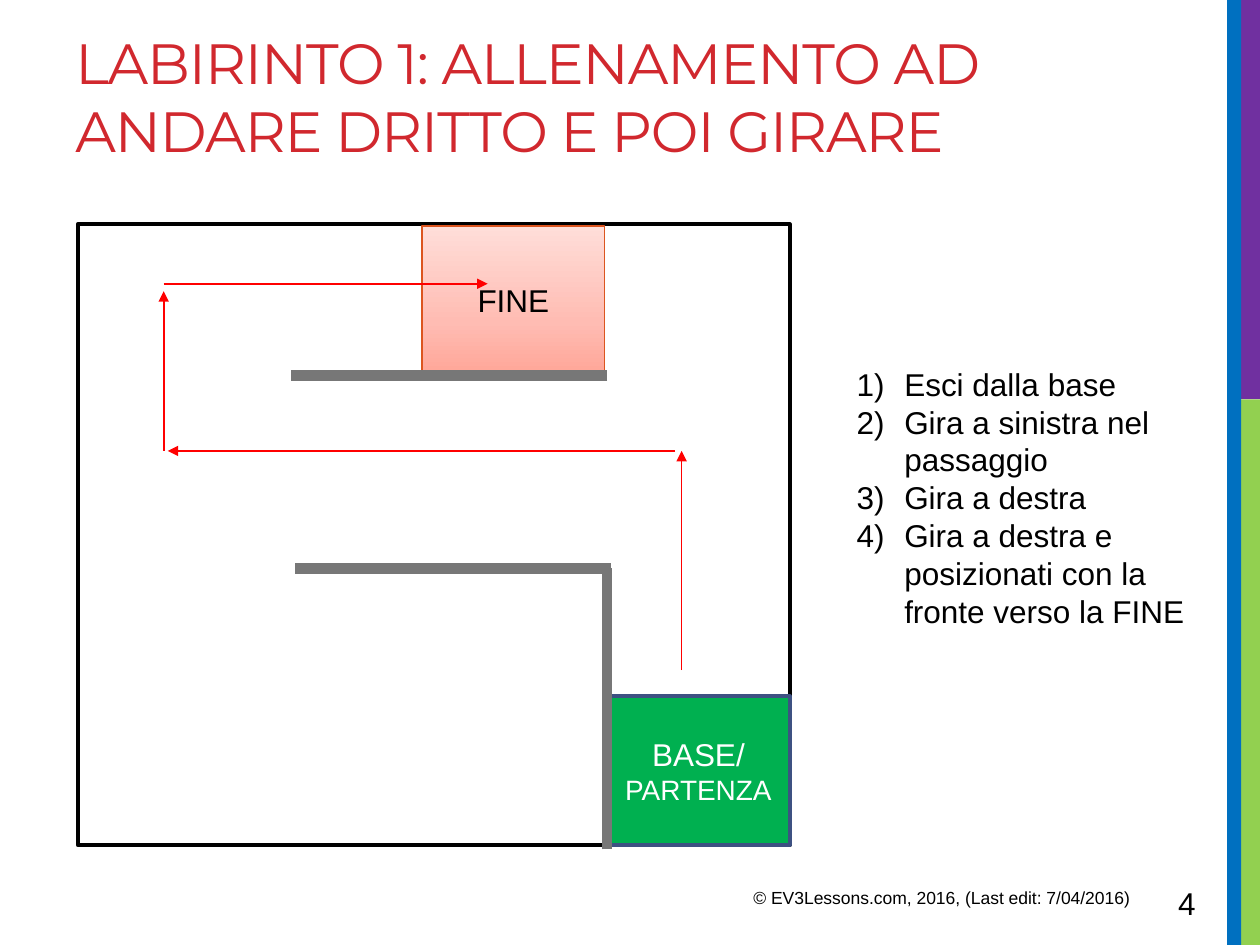
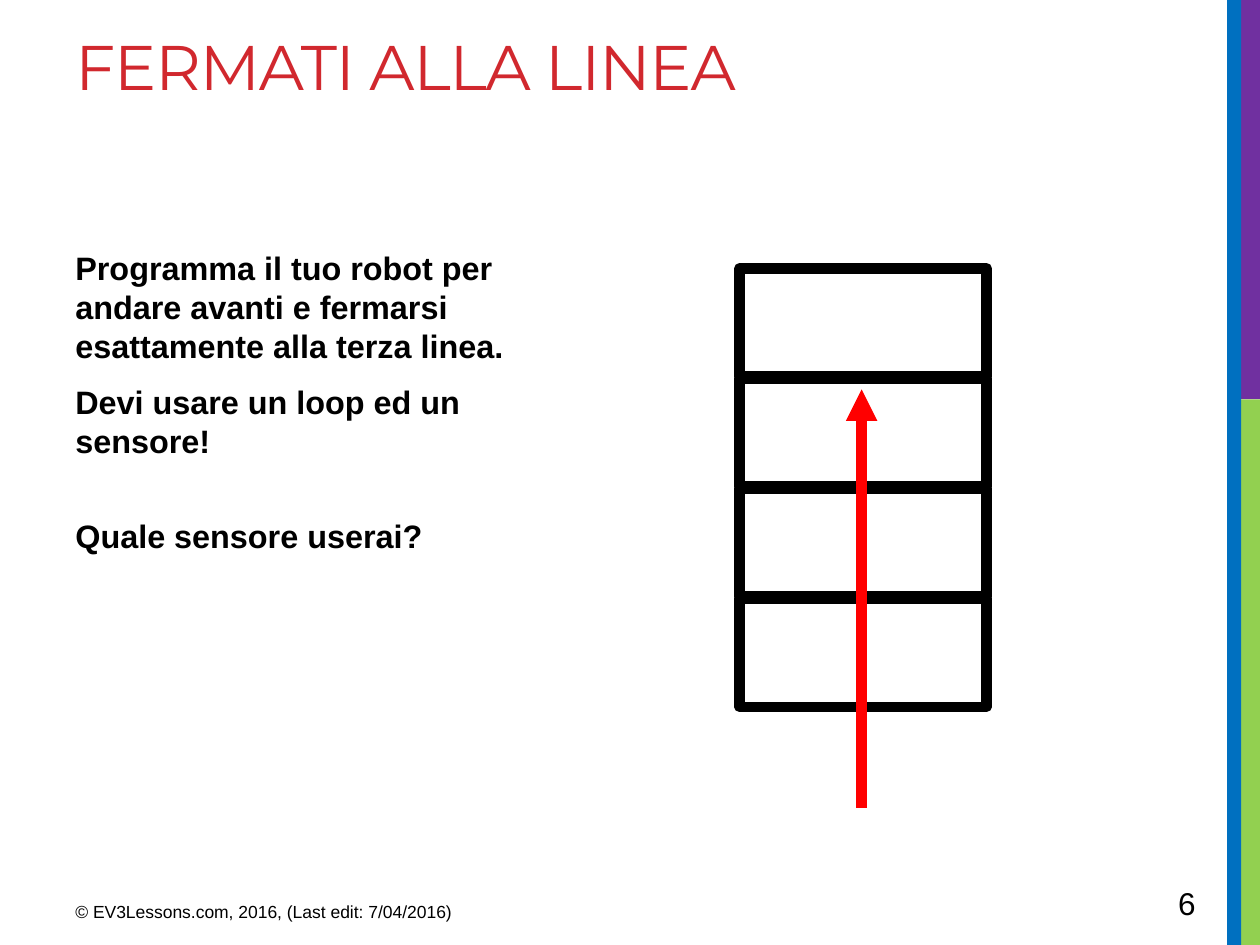
import copy
from dataclasses import dataclass

import lxml.etree
import pptx
import pptx.dml.color
import pptx.enum.shapes
import pptx.enum.text
import pptx.oxml.ns
import pptx.util

Cm = pptx.util.Cm
Pt = pptx.util.Pt
qn = pptx.oxml.ns.qn
ALIGN = pptx.enum.text.PP_ALIGN
ANCHOR = pptx.enum.text.MSO_ANCHOR


@dataclass(frozen=True)
class Theme:
    title_font: str = "Montserrat"
    body_font: str = "Arial"
    title_color: str = "D1282E"
    ink: str = "000000"
    paper: str = "FFFFFF"
    route: str = "FF0000"
    wall: str = "777777"
    base_fill: str = "00B050"
    base_line: str = "3D5182"
    finish_line: str = "DC551F"
    finish_stops: tuple = ((0, "FFA698"), (0.35, "FFBCB3"), (1, "FFDED9"))
    purple: str = "7030A0"
    green: str = "92D050"
    blue: str = "0070C0"
    text_size: float = 18
    small_size: float = 16
    prompt_size: float = 18.5
    footer_size: float = 10
    thin: float = 1
    border: float = 2.25
    thick: float = 6


THEME = Theme()

# Content. Areas are (left, top, width, height) and points (x, y), in centimetres.
FOOTER = "© EV3Lessons.com, 2016, (Last edit: 7/04/2016)"
MAZE_PAGE = {
    "title": "LABIRINTO 1: ALLENAMENTO AD ANDARE DRITTO E POI GIRARE",
    "title_size": 32.4, "number": "4", "footer_at": (14.94, 17.75),
}
LINE_PAGE = {
    "title": "FERMATI ALLA LINEA",
    "title_size": 36, "number": "6", "footer_at": (1.27, 18.03),
}
STEPS = ["Esci dalla base", "Gira a sinistra nel passaggio", "Gira a destra",
         "Gira a destra e posizionati con la fronte verso la FINE"]
# Each prompt with its space before, in points.
PROMPTS = [
    ("Programma il tuo robot per andare avanti e fermarsi esattamente alla terza linea.", 0),
    ("Devi usare un loop ed un sensore!", 3.7),
    ("Quale sensore userai?", 26),
]
BANDS = [
    ((24.9, 0, 0.5, 8.05), THEME.purple),
    ((25, 8.05, 0.4, 11), THEME.green),
    ((24.74, 0, 0.28, 19.05), THEME.blue),
]
MAZE = (1.57, 4.52, 14.35, 12.52)
ROOM = (3.68, 3)
FINISH_AT = (8.51, 4.55)
ROUTE = [
    ((13.74, 13.51), (13.74, 9.09)),
    ((13.61, 9.09), (3.38, 9.09)),
    ((3.3, 9.09), (3.3, 5.87)),
    ((3.3, 5.72), (9.83, 5.72)),
]
WALLS = [
    ((12.24, 17.12), (12.24, 11.46)),
    ((12.32, 11.46), (5.94, 11.46)),
    ((12.24, 7.57), (5.87, 7.57)),
]
TRACK = (14.91, 5.41, 4.98, 2.18)
TRACK_CELLS, TRACK_PITCH = 4, 2.22
TRACK_ROUTE = ((17.37, 16.28), (17.37, 7.85))


def rgb(color):
    return pptx.dml.color.RGBColor.from_string(color)


def style(font, size, color=THEME.ink, name=THEME.body_font, bold=False):
    font.name, font.size, font.bold = name, Pt(size), bold
    font.color.rgb = rgb(color)


def add_rectangle(page, area, fill=None, line=None, width=THEME.border):
    box = page.shapes.add_shape(pptx.enum.shapes.MSO_SHAPE.RECTANGLE, *map(Cm, area))
    box.shadow.inherit = False
    if fill:
        box.fill.solid()
        box.fill.fore_color.rgb = rgb(fill)
    else:
        box.fill.background()
    if line:
        box.line.color.rgb = rgb(line)
        box.line.width = Pt(width)
    else:
        box.line.fill.background()
    return box


def add_text(page, area, text, size, **look):
    box = page.shapes.add_textbox(*map(Cm, area))
    box.text_frame.word_wrap = True
    box.text_frame.text = text
    for para in box.text_frame.paragraphs:
        for span in para.runs:
            style(span.font, size, **look)
    return box


def add_line(page, ends, color, width, arrow=False):
    start, end = ends
    line = page.shapes.add_connector(
        pptx.enum.shapes.MSO_CONNECTOR.STRAIGHT, *map(Cm, start + end))
    line.line.color.rgb = rgb(color)
    line.line.width = Pt(width)
    if arrow:
        lxml.etree.SubElement(line.line._get_or_add_ln(), qn("a:tailEnd"), type="triangle")
    lxml.etree.SubElement(line._element.spPr, qn("a:effectLst"))


def fill_gradient(box, stops):
    """Fill from bottom to top, with three colour stops."""
    box.fill.gradient()
    box.fill.gradient_angle = 90
    first = box.fill._xPr.find(qn("a:gradFill")).find(qn("a:gsLst"))[0]
    first.addnext(copy.deepcopy(first))
    for stop, (position, color) in zip(box.fill.gradient_stops, stops):
        stop.position = position
        stop.color.rgb = rgb(color)


def number_paragraph(para, indent=0.96):
    properties = para._p.get_or_add_pPr()
    properties.set("marL", str(Cm(indent)))
    properties.set("indent", str(-Cm(indent)))
    lxml.etree.SubElement(properties, qn("a:buAutoNum"), type="arabicParenR")


def add_page(deck, content):
    """Add a page with its bands, title, footer and page number."""
    page = deck.slides.add_slide(deck.slide_layouts[6])
    for area, color in BANDS:
        add_rectangle(page, area, color)
    title = add_text(page, (1.27, 0.43, 22.91, 3.81), content["title"], content["title_size"],
                     color=THEME.title_color, name=THEME.title_font)
    for span in title.text_frame.paragraphs[0].runs:
        span._r.get_or_add_rPr().set("spc", "-60")
    add_text(page, (*content["footer_at"], 9.53, 0.79), FOOTER, THEME.footer_size)
    add_text(page, (23.5, 17.7, 1.75, 1.02), content["number"], THEME.text_size)
    return page


def label_room(box, parts, color):
    """Centre runs, given as (text, size), in one paragraph."""
    frame = box.text_frame
    frame.word_wrap = True
    frame.vertical_anchor = ANCHOR.MIDDLE
    para = frame.paragraphs[0]
    para.alignment = ALIGN.CENTER
    for text, size in parts:
        span = para.add_run()
        span.text = text
        style(span.font, size, color)


def build_maze(deck):
    page = add_page(deck, MAZE_PAGE)
    add_rectangle(page, MAZE, THEME.paper, THEME.ink)
    left, top, width, height = MAZE
    base_at = (left + width - ROOM[0], top + height - ROOM[1])
    base = add_rectangle(page, base_at + ROOM, THEME.base_fill, THEME.base_line)
    label_room(base, [("BASE/ ", THEME.text_size), ("PARTENZA", THEME.small_size)], THEME.paper)
    finish = add_rectangle(page, FINISH_AT + ROOM, line=THEME.finish_line, width=THEME.thin)
    fill_gradient(finish, THEME.finish_stops)
    label_room(finish, [("FINE", THEME.text_size)], THEME.ink)

    steps = add_text(page, (17.02, 7.11, 7.37, 5.82), "\n".join(STEPS), THEME.text_size)
    steps.text_frame.vertical_anchor = ANCHOR.MIDDLE
    for para in steps.text_frame.paragraphs:
        number_paragraph(para)
    for ends in WALLS:
        add_line(page, ends, THEME.wall, THEME.thick)
    for ends in ROUTE:
        add_line(page, ends, THEME.route, THEME.thin, arrow=True)


def build_line_stop(deck):
    page = add_page(deck, LINE_PAGE)
    prompts = add_text(page, (1.27, 4.88, 9.53, 6.55), "\n".join(text for text, _ in PROMPTS),
                       THEME.prompt_size, bold=True)
    for para, (_, before) in zip(prompts.text_frame.paragraphs, PROMPTS):
        para.space_before, para.space_after = Pt(before), Pt(6)
    left, top, width, height = TRACK
    for cell in range(TRACK_CELLS):
        add_rectangle(page, (left, top + cell * TRACK_PITCH, width, height),
                      line=THEME.ink, width=THEME.thick)
    add_line(page, TRACK_ROUTE, THEME.route, THEME.thick, arrow=True)


def main():
    deck = pptx.Presentation()
    deck.slide_width, deck.slide_height = Cm(25.4), Cm(19.05)
    build_maze(deck)
    build_line_stop(deck)
    deck.save("out.pptx")


if __name__ == "__main__":
    main()
